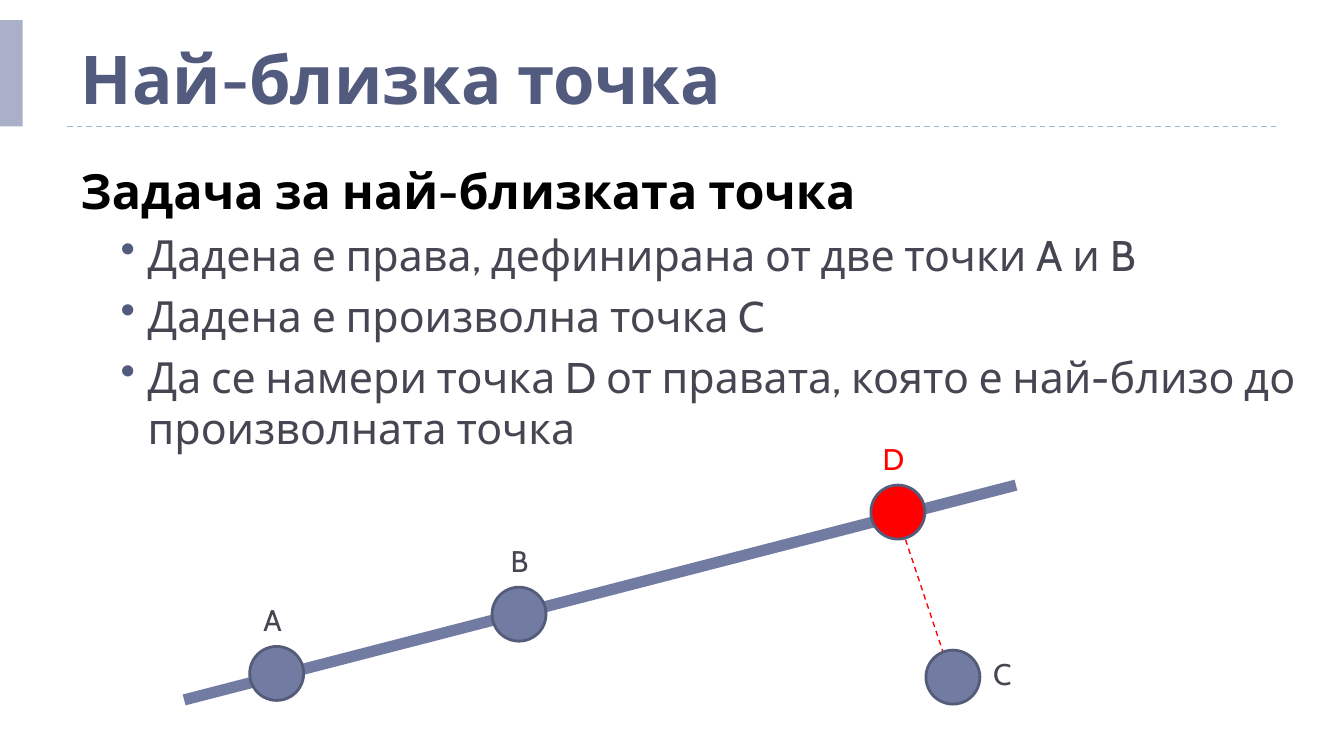
from dataclasses import dataclass

import pptx
import pptx.dml.color
import pptx.enum.dml
import pptx.enum.shapes
import pptx.enum.text
import pptx.oxml
import pptx.oxml.ns
import pptx.util
from pptx.util import Cm

FONT = "Cabin"
COLORS = {
    "title": "525B7E",
    "heading": "000000",
    "text": "464653",
    "rule": "9FB8CD",
    "bar": "AAB0C8",
    "point": "727CA3",
    "outline": "545C79",
    "nearest": "FF0000",
}
POINT_SIZE = 1.02
LABEL_HEIGHT = 0.81


@dataclass
class Point:
    name: str
    left: float
    top: float
    label_left: float
    label_top: float
    label_width: float
    fill: str = "point"
    label_color: str = "text"


@dataclass
class Line:
    start: tuple[float, float]
    end: tuple[float, float]
    color: str
    width: float
    dashed: bool = False


HEADING = "Задача за най-близката точка"
BULLETS = [
    "Дадена е права, дефинирана от две точки A и B",
    "Дадена е произволна точка C",
    "Да се намери точка D от правата, която е най-близо до произволната точка",
]
TITLE_RULE = Line((1.27, 2.39), (24.13, 2.39), "rule", 0.75, True)
LINE_AB = Line((3.48, 13.23), (19.2, 9.17), "point", 6)
LINE_CD = Line((16.94, 9.68), (17.98, 12.8), "nearest", 0.75, True)
POINTS = [
    Point("A", 4.72, 12.22, 4.72, 11.4, 0.86),
    Point("B", 9.3, 11.1, 9.4, 10.29, 0.84),
    Point("C", 17.5, 12.29, 18.52, 12.42, 0.84),
    Point("D", 16.46, 9.17, 16.43, 8.36, 0.89, "nearest", "nearest"),
]


def rgb(name: str) -> pptx.dml.color.RGBColor:
    return pptx.dml.color.RGBColor.from_string(COLORS[name])


def add_run(paragraph, text: str, size: float, color: str, bold: bool = False) -> None:
    run = paragraph.add_run()
    run.text = text
    run.font.name = FONT
    run.font.size = pptx.util.Pt(size)
    run.font.bold = bold
    run.font.color.rgb = rgb(color)


def set_bullet(paragraph, color: str) -> None:
    properties = paragraph._p.get_or_add_pPr()
    properties.set("lvl", "1")
    properties.set("marL", str(Cm(1.27)))
    properties.set("indent", str(-Cm(0.51)))
    bullet_color = pptx.oxml.parse_xml(
        f'<a:buClr {pptx.oxml.ns.nsdecls("a")}><a:srgbClr val="{COLORS[color]}"/></a:buClr>')
    bullet = pptx.oxml.parse_xml(f'<a:buChar {pptx.oxml.ns.nsdecls("a")} char="•"/>')
    properties.extend([bullet_color, bullet])


def add_line(slide, line: Line) -> None:
    connector = slide.shapes.add_connector(
        pptx.enum.shapes.MSO_CONNECTOR.STRAIGHT,
        *(Cm(value) for value in line.start + line.end))
    connector.line.color.rgb = rgb(line.color)
    connector.line.width = pptx.util.Pt(line.width)
    if line.dashed:
        connector.line.dash_style = pptx.enum.dml.MSO_LINE.DASH
    connector._element.spPr.append(
        pptx.oxml.parse_xml(f'<a:effectLst {pptx.oxml.ns.nsdecls("a")}/>'))


def add_title_bar(slide) -> None:
    bar = slide.shapes.add_shape(
        pptx.enum.shapes.MSO_SHAPE.RECTANGLE, Cm(0), Cm(0.38), Cm(0.43), Cm(2.01))
    bar.shadow.inherit = False
    bar.fill.solid()
    bar.fill.fore_color.rgb = rgb("bar")
    bar.line.fill.background()


def format_title(slide, text: str) -> None:
    title = slide.shapes.title
    title.left, title.top, title.width, title.height = Cm(1.27), Cm(0.3), Cm(23.7), Cm(2.06)
    frame = title.text_frame
    frame.word_wrap = True
    frame.auto_size = pptx.enum.text.MSO_AUTO_SIZE.NONE
    frame.vertical_anchor = pptx.enum.text.MSO_ANCHOR.BOTTOM
    paragraph = frame.paragraphs[0]
    paragraph.alignment = pptx.enum.text.PP_ALIGN.LEFT
    add_run(paragraph, text, 36, "title", bold=True)


def add_body(slide) -> None:
    frame = slide.shapes.add_textbox(Cm(1.27), Cm(2.92), Cm(23.7), Cm(11.23)).text_frame
    frame.word_wrap = True
    heading = frame.paragraphs[0]
    heading.space_before = pptx.util.Pt(6)
    add_run(heading, HEADING, 26, "heading", bold=True)
    for text in BULLETS:
        paragraph = frame.add_paragraph()
        paragraph.space_before = pptx.util.Pt(5)
        set_bullet(paragraph, "title")
        add_run(paragraph, text, 23, "text")


def add_point(slide, point: Point) -> None:
    circle = slide.shapes.add_shape(
        pptx.enum.shapes.MSO_SHAPE.OVAL,
        Cm(point.left), Cm(point.top), Cm(POINT_SIZE), Cm(POINT_SIZE))
    circle.shadow.inherit = False
    circle.fill.solid()
    circle.fill.fore_color.rgb = rgb(point.fill)
    circle.line.color.rgb = rgb("outline")
    circle.line.width = pptx.util.Pt(1.5)


def add_label(slide, point: Point) -> None:
    frame = slide.shapes.add_textbox(
        Cm(point.label_left), Cm(point.label_top),
        Cm(point.label_width), Cm(LABEL_HEIGHT)).text_frame
    frame.word_wrap = False
    frame.auto_size = pptx.enum.text.MSO_AUTO_SIZE.SHAPE_TO_FIT_TEXT
    paragraph = frame.paragraphs[0]
    paragraph.alignment = pptx.enum.text.PP_ALIGN.CENTER
    paragraph.line_spacing = pptx.util.Pt(15)
    add_run(paragraph, point.name, 16, point.label_color)


def main() -> None:
    presentation = pptx.Presentation()
    presentation.slide_width, presentation.slide_height = Cm(25.4), Cm(14.29)
    slide = presentation.slides.add_slide(presentation.slide_layouts[5])

    # Title and its decoration
    add_line(slide, TITLE_RULE)
    add_title_bar(slide)
    format_title(slide, "Най-близка точка")

    # Problem statement
    add_body(slide)

    # Diagram: lines below, then points and their labels
    for line in (LINE_AB, LINE_CD):
        add_line(slide, line)
    for point in POINTS:
        add_point(slide, point)
        add_label(slide, point)

    presentation.save("out.pptx")


if __name__ == "__main__":
    main()
